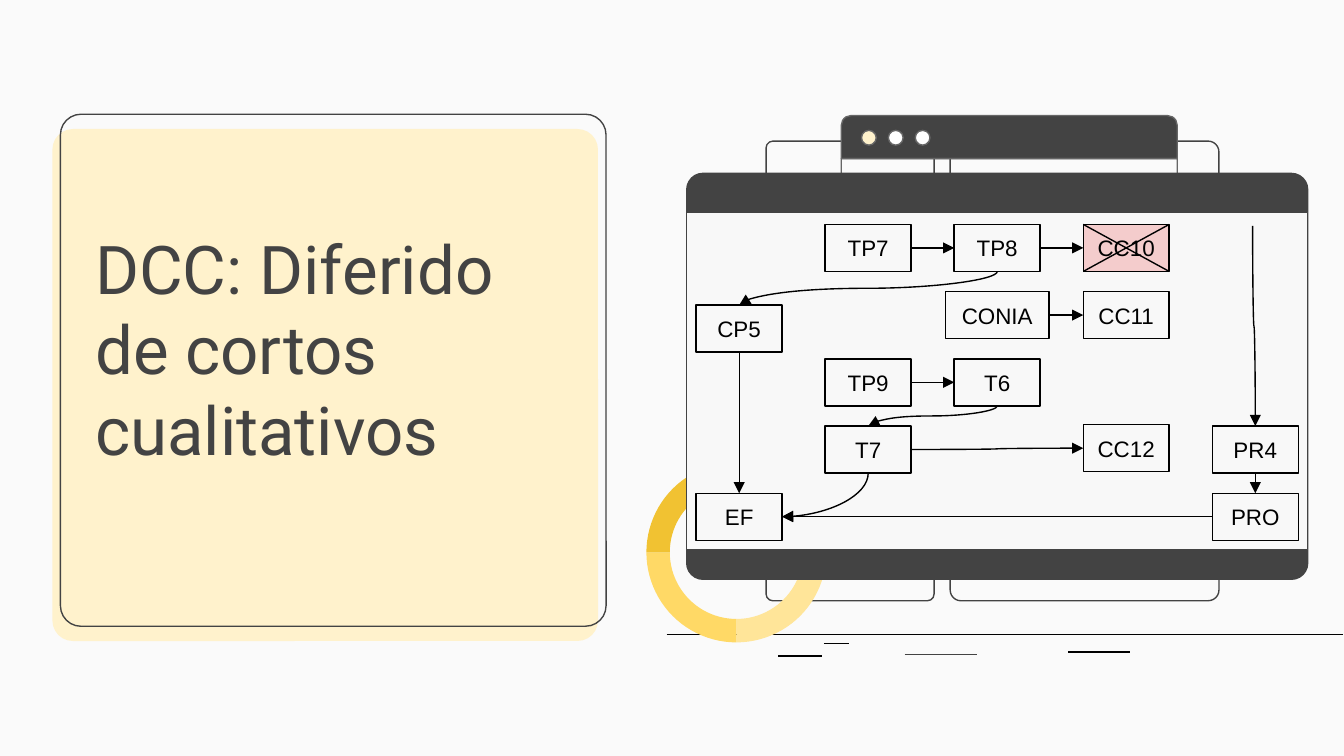
from lxml.etree import SubElement
from pptx import Presentation
from pptx.dml.color import RGBColor
from pptx.enum.shapes import MSO_CONNECTOR, MSO_SHAPE
from pptx.enum.text import MSO_ANCHOR, PP_ALIGN
from pptx.oxml.ns import qn
from pptx.util import Inches, Pt

COLORS = {
    "background": "FAFAFA", "cream": "FFF2CC", "dark": "434343", "gray": "666666",
    "white": "FFFFFF", "screen": "F8F8F8", "pink": "F4CCCC", "black": "000000",
    "light_gold": "FFE599", "mid_gold": "FFD966", "deep_gold": "F1C232",
}

prs = Presentation()
prs.slide_width = Inches(10)
prs.slide_height = Inches(10 * 9 / 16)
s = prs.slides.add_slide(prs.slide_layouts[6])
s.background.fill.solid()
s.background.fill.fore_color.rgb = RGBColor.from_string(COLORS["background"])


def add_shape(kind, x, y, w, h, fill=None, line=None, adj=()):
    sp = s.shapes.add_shape(kind, Inches(x), Inches(y), Inches(w), Inches(h))
    sp.shadow.inherit = False
    for i, value in enumerate(adj):
        sp.adjustments[i] = value
    if fill:
        sp.fill.solid()
        sp.fill.fore_color.rgb = RGBColor.from_string(COLORS[fill])
    else:
        sp.fill.background()
    if line:
        sp.line.color.rgb = RGBColor.from_string(COLORS[line])
        sp.line.width = Pt(0.75)
    else:
        sp.line.fill.background()
    return sp


def add_line(kind, x1, y1, x2, y2, color="black", arrow=False):
    c = s.shapes.add_connector(kind, Inches(x1), Inches(y1), Inches(x2), Inches(y2))
    c.line.color.rgb = RGBColor.from_string(COLORS[color])
    c.line.width = Pt(0.75)
    if arrow:
        SubElement(c.line._get_or_add_ln(), qn("a:tailEnd"), type="triangle")
    SubElement(c._element.spPr, qn("a:effectLst"))
    return c


add_shape(MSO_SHAPE.ROUNDED_RECTANGLE, 0.39, 0.96, 4.06, 3.81, "cream", adj=[0.04])
add_shape(MSO_SHAPE.ROUNDED_RECTANGLE, 0.45, 0.85, 4.06, 3.81, line="dark", adj=[0.04])

title = s.shapes.add_textbox(Inches(0.61), Inches(2.38), Inches(3.79), Inches(1.21))
tf = title.text_frame
tf.word_wrap = True
tf.vertical_anchor = MSO_ANCHOR.BOTTOM
tf.margin_left = tf.margin_right = tf.margin_top = tf.margin_bottom = Inches(0.1)
tf.text = "DCC: Diferido de cortos cualitativos"
font = tf.paragraphs[0].runs[0].font
font.name = "Roboto"
font.size = Pt(36)
font.color.rgb = RGBColor.from_string(COLORS["dark"])

for x, y, length, color in [
    (4.96, 4.72, 5.03, "black"), (5.79, 4.88, 0.33, "black"), (6.73, 4.87, 0.54, "dark"),
    (6.13, 4.79, 0.19, "black"), (7.95, 4.85, 0.46, "black"),
]:
    add_line(MSO_CONNECTOR.STRAIGHT, x, y, x + length, y, color)

for x, w in [(5.7, 1.25), (7.07, 2)]:
    add_shape(MSO_SHAPE.ROUNDED_RECTANGLE, x, 1.05, w, 3.42, line="dark", adj=[0.04])

add_shape(MSO_SHAPE.ROUND_2_SAME_RECTANGLE, 6.26, 0.86, 2.5, 0.32, "dark", "gray", [0.23, 0])
for i, fill in enumerate(["cream", "white", "white"]):
    add_shape(MSO_SHAPE.OVAL, 6.41 + 0.2 * i, 0.97, 0.11, 0.11, fill, "gray")
add_shape(MSO_SHAPE.ROUND_2_SAME_RECTANGLE, 6.26, 1.18, 2.5, 1.64, line="gray", adj=[0, 0.05])

for start, end, fill in [(300, 90, "light_gold"), (90, 180, "mid_gold"), (180, 300, "deep_gold")]:
    add_shape(MSO_SHAPE.BLOCK_ARC, 4.81, 3.44, 1.34, 1.34, fill,
              adj=[start * 0.6, end * 0.6, 0.13])

add_shape(MSO_SHAPE.ROUNDED_RECTANGLE, 5.11, 1.29, 4.62, 3.02, "dark", "dark", [0.04])
add_shape(MSO_SHAPE.RECTANGLE, 5.11, 1.58, 4.62, 2.51, "screen", "dark")

NODE_W, NODE_H = 0.64, 0.35
nodes = {
    "TP7": (1, 1.67), "TP8": (2, 1.67), "CC10": (3, 1.67),
    "CONIA": (2, 2.17), "CC11": (3, 2.17), "CP5": (0, 2.27),
    "TP9": (1, 2.67), "T6": (2, 2.67),
    "T7": (1, 3.17), "CC12": (3, 3.16), "PR4": (4, 3.17),
    "EF": (0, 3.67), "PRO": (4, 3.67),
}
sides = {}
for name, (column, top) in nodes.items():
    w = 0.77 if name == "CONIA" else NODE_W
    center = 5.5 + 0.96 * column
    left = center - w / 2
    sp = add_shape(MSO_SHAPE.RECTANGLE, left, top, w, NODE_H,
                   "pink" if name == "CC10" else None, "black")
    tf = sp.text_frame
    tf.word_wrap = False
    tf.vertical_anchor = MSO_ANCHOR.MIDDLE
    tf.margin_left = tf.margin_right = tf.margin_top = tf.margin_bottom = Inches(0.1)
    tf.text = name
    p = tf.paragraphs[0]
    p.alignment = PP_ALIGN.CENTER
    font = p.runs[0].font
    font.name = "Arial"
    font.size = Pt(12)
    font.color.rgb = RGBColor.from_string(COLORS["black"])
    sides[name] = {
        "left": (left, top + NODE_H / 2), "right": (left + w, top + NODE_H / 2),
        "top": (center, top), "bottom": (center, top + NODE_H),
    }

for source, target in [("TP7", "TP8"), ("TP8", "CC10"), ("CONIA", "CC11"),
                       ("TP9", "T6"), ("T7", "CC12")]:
    add_line(MSO_CONNECTOR.CURVE, *sides[source]["right"], *sides[target]["left"], arrow=True)
add_line(MSO_CONNECTOR.CURVE, *sides["PRO"]["left"], *sides["EF"]["right"], arrow=True)

falls = [(sides[source]["bottom"], sides[target][side], preset) for source, target, side, preset in [
    ("TP8", "CP5", "top", "curvedConnector3"), ("T6", "T7", "top", "curvedConnector3"),
    ("CP5", "EF", "top", "curvedConnector3"), ("PR4", "PRO", "top", "curvedConnector3"),
    ("T7", "EF", "right", "curvedConnector2"),
]]
falls.append(((9.32, 1.68), sides["PR4"]["top"], "curvedConnector3"))
for (x1, y1), (x2, y2), preset in falls:
    cx, cy = (x1 + x2) / 2, (y1 + y2) / 2
    dx, dy = (x2 - x1) / 2, (y2 - y1) / 2
    c = add_line(MSO_CONNECTOR.CURVE, cx - dy, cy + dx, cx + dy, cy - dx, arrow=True)
    c._element.spPr.find(qn("a:xfrm")).set("rot", "5400000")
    c._element.spPr.find(qn("a:prstGeom")).set("prst", preset)

for y1, y2 in [(1.67, 2.02), (2.02, 1.67)]:
    add_line(MSO_CONNECTOR.STRAIGHT, 8.06, y1, 8.7, y2)

prs.save("out.pptx")
